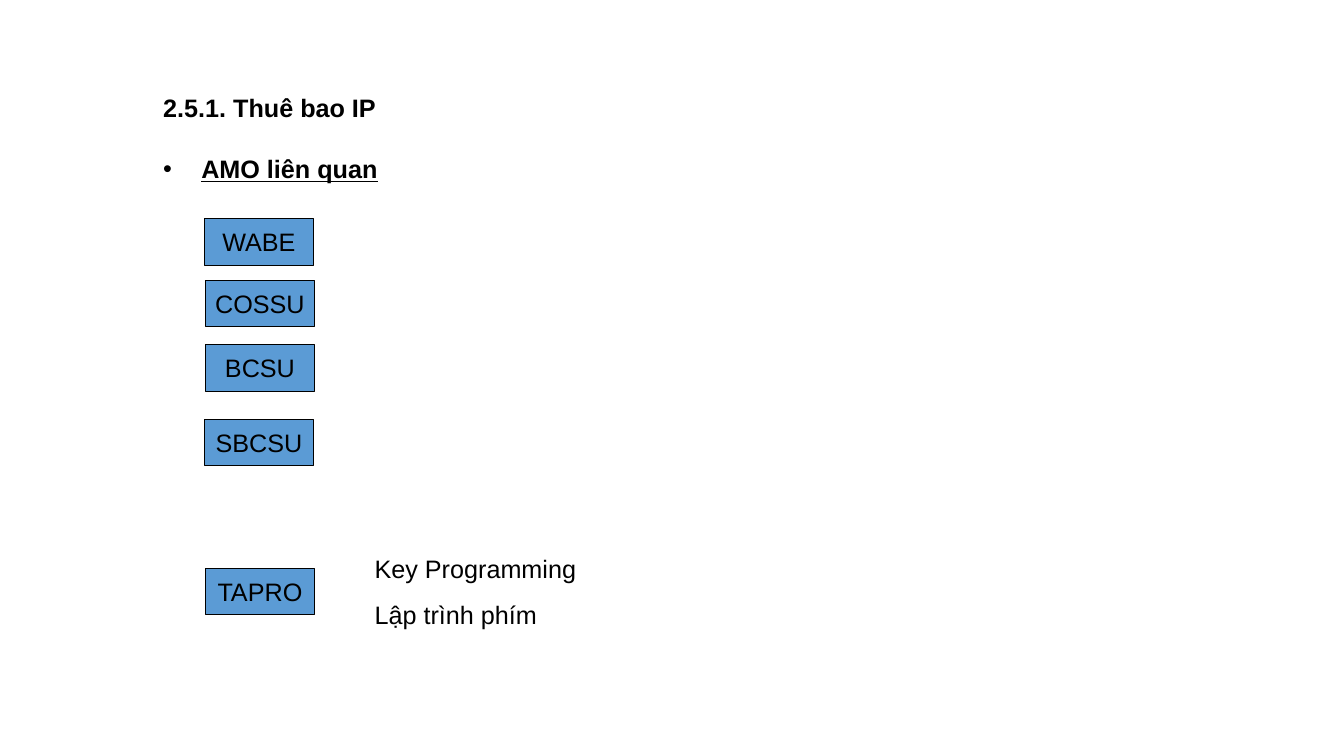
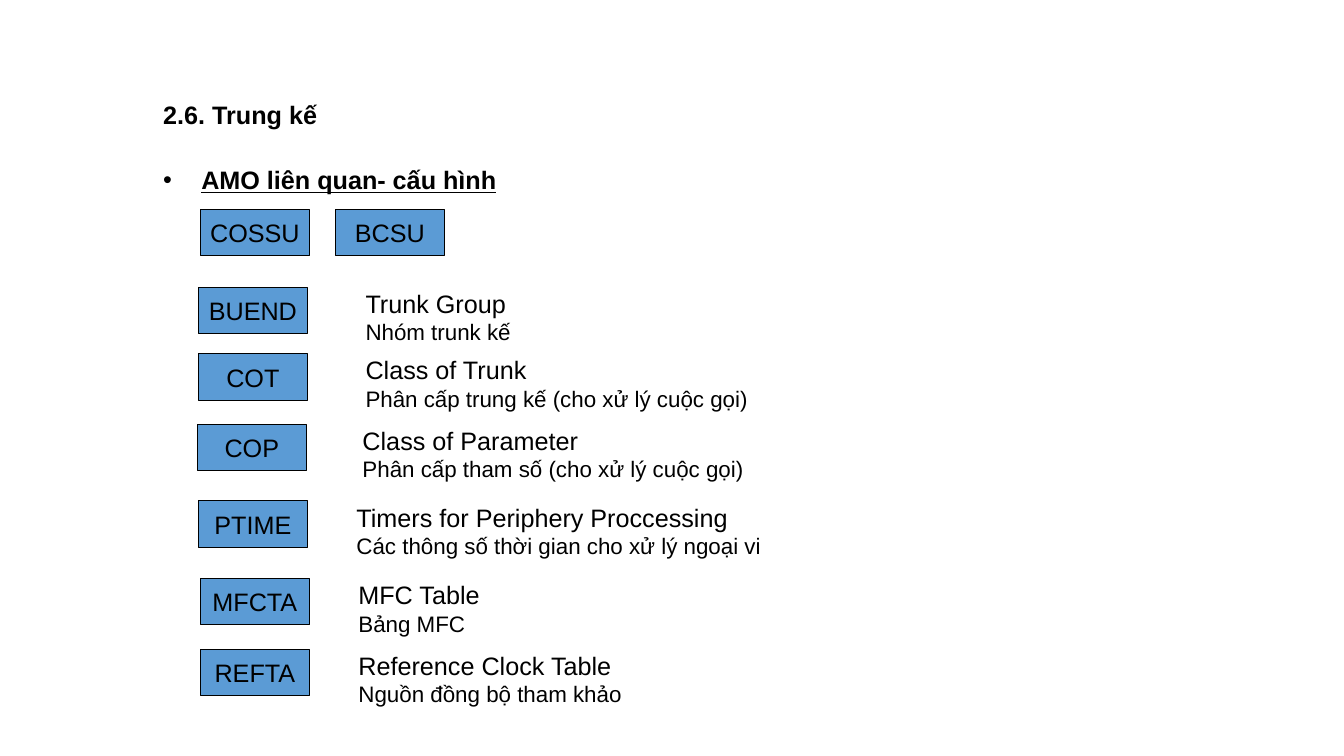
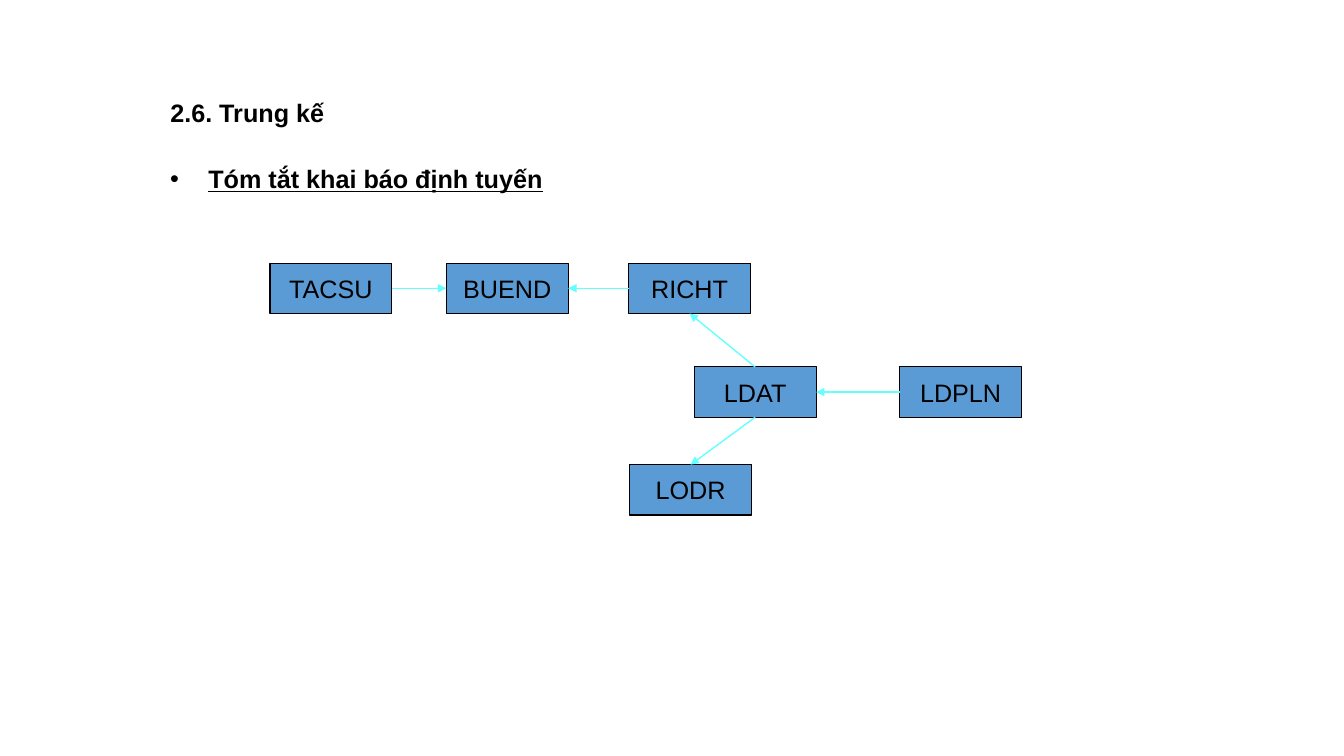
from dataclasses import dataclass

from lxml import etree
from pptx import Presentation
from pptx import util as u
from pptx.dml.color import RGBColor
from pptx.enum import shapes, text
from pptx.oxml import ns


@dataclass(frozen=True)
class Theme:
    font: str = "Arial"
    ink: RGBColor = RGBColor(0, 0, 0)
    fill: RGBColor = RGBColor(0x5B, 0x9B, 0xD5)
    arrow: RGBColor = RGBColor(0x66, 0xFF, 0xFF)
    size: int = 18
    small: int = 16
    border: float = 0.75
    stroke: float = 1


@dataclass(frozen=True)
class Head:
    title: str
    point: str
    left: float
    top: float
    width: float
    height: float
    depth: float


@dataclass(frozen=True)
class Box:
    name: str
    left: float
    top: float
    width: float = 1.08
    height: float = 0.46


@dataclass(frozen=True)
class Label:
    lines: tuple[str, str]
    left: float
    top: float
    height: float = 0.67
    second: int = 16
    gap: float = 0


@dataclass(frozen=True)
class Link:
    start: str
    start_side: int
    end: str
    end_side: int


THEME = Theme()
TOP, LEFT, BOTTOM, RIGHT = range(4)


def style(para, size: int = THEME.size, bold: bool = False, under: bool = False) -> None:
    for run in para.runs:
        font = run.font
        font.name, font.size = THEME.font, u.Pt(size)
        font.bold, font.underline = bold, under
        font.color.rgb = THEME.ink


def add_text(slide, left: float, top: float, width: float, height: float):
    area = slide.shapes.add_textbox(*map(u.Inches, (left, top, width, height)))
    area.text_frame.word_wrap = True
    return area.text_frame


def add_point(slide, head: Head) -> None:
    frame = add_text(slide, head.left, head.top + head.height, head.width, head.depth)
    frame.text = head.point
    para = frame.paragraphs[0]
    para.line_spacing, para.space_before = 1.15, u.Pt(4.5)
    style(para, bold=True, under=True)
    props = para._p.get_or_add_pPr()
    indent = u.Inches(0.38)
    props.set("marL", str(indent))
    props.set("indent", str(-indent))
    etree.SubElement(props, ns.qn("a:buFont")).set("typeface", THEME.font)
    etree.SubElement(props, ns.qn("a:buChar")).set("char", "•")


def add_slide(deck, head: Head):
    slide = deck.slides.add_slide(deck.slide_layouts[5])
    title = slide.shapes.title
    title.left, title.top = u.Inches(head.left), u.Inches(head.top)
    title.width, title.height = u.Inches(head.width), u.Inches(head.height)
    frame = title.text_frame
    frame.text = head.title
    frame.vertical_anchor = text.MSO_ANCHOR.MIDDLE
    para = frame.paragraphs[0]
    para.alignment, para.line_spacing = text.PP_ALIGN.LEFT, 0.9
    style(para, bold=True)
    add_point(slide, head)
    return slide


def add_box(slide, box: Box):
    shape = slide.shapes.add_shape(
        shapes.MSO_SHAPE.RECTANGLE,
        *map(u.Inches, (box.left, box.top, box.width, box.height)),
    )
    shape.shadow.inherit = False
    shape.fill.solid()
    shape.fill.fore_color.rgb = THEME.fill
    shape.line.color.rgb = THEME.ink
    shape.line.width = u.Pt(THEME.border)
    frame = shape.text_frame
    frame.text = box.name
    frame.word_wrap = False
    frame.vertical_anchor = text.MSO_ANCHOR.MIDDLE
    frame.paragraphs[0].alignment = text.PP_ALIGN.CENTER
    style(frame.paragraphs[0])
    return shape


def add_label(slide, label: Label) -> None:
    frame = add_text(slide, label.left, label.top, 6.36, label.height)
    frame.auto_size = text.MSO_AUTO_SIZE.SHAPE_TO_FIT_TEXT
    frame.text = "\n".join(label.lines)
    for para, size in zip(frame.paragraphs, (THEME.size, label.second)):
        para.space_before = u.Pt(label.gap)
        style(para, size)


def add_link(slide, nodes: dict, link: Link) -> None:
    line = slide.shapes.add_connector(shapes.MSO_CONNECTOR.STRAIGHT, 0, 0, 0, 0)
    line.begin_connect(nodes[link.start], link.start_side)
    line.end_connect(nodes[link.end], link.end_side)
    line.line.color.rgb = THEME.arrow
    line.line.width = u.Pt(THEME.stroke)
    stroke = line.line._get_or_add_ln()
    etree.SubElement(stroke, ns.qn("a:tailEnd")).set("type", "triangle")
    etree.SubElement(line._element.spPr, ns.qn("a:effectLst"))


def build_phones(deck) -> None:
    slide = add_slide(
        deck, Head("2.5.1. Thuê bao IP", "AMO liên quan", 1.52, 0.74, 10.56, 0.69, 4.96)
    )
    for box in (
        Box("WABE", 2.03, 2.17),
        Box("COSSU", 2.04, 2.78),
        Box("BCSU", 2.04, 3.42),
        Box("SBCSU", 2.03, 4.16),
        Box("TAPRO", 2.04, 5.64),
    ):
        add_box(slide, box)
    lines = ("Key Programming", "Lập trình phím")
    add_label(slide, Label(lines, 3.62, 5.44, 0.86, THEME.size, 11.2))


def build_trunks(deck) -> None:
    slide = add_slide(
        deck, Head("2.6. Trung kế", "AMO liên quan- cấu hình", 1.52, 0.77, 10.56, 0.77, 0.65)
    )
    for name, left in (("COSSU", 1.99), ("BCSU", 3.33)):
        add_box(slide, Box(name, left, 2.08))
    for name, left, top, indent, first, second in (
        ("BUEND", 1.97, 2.85, 3.53, "Trunk Group", "Nhóm trunk kế"),
        ("COT", 1.97, 3.51, 3.53, "Class of Trunk", "Phân cấp trung kế (cho xử lý cuộc gọi)"),
        ("COP", 1.96, 4.21, 3.5, "Class of Parameter", "Phân cấp tham số (cho xử lý cuộc gọi)"),
        ("PTIME", 1.97, 4.97, 3.44, "Timers for Periphery Proccessing",
         "Các thông số thời gian cho xử lý ngoại vi"),
        ("MFCTA", 1.99, 5.74, 3.46, "MFC Table", "Bảng MFC"),
        ("REFTA", 1.99, 6.44, 3.46, "Reference Clock Table", "Nguồn đồng bộ tham khảo"),
    ):
        add_box(slide, Box(name, left, top))
        add_label(slide, Label((first, second), indent, top - 0.04, second=THEME.small))


def build_routes(deck) -> None:
    slide = add_slide(
        deck, Head("2.6. Trung kế", "Tóm tắt khai báo định tuyến", 1.59, 0.73, 10.26, 0.8, 5.2)
    )
    nodes = {
        name: add_box(slide, Box(name, left, top, 1.21, 0.5))
        for name, left, top in (
            ("TACSU", 2.68, 2.61),
            ("BUEND", 4.43, 2.61),
            ("RICHT", 6.24, 2.61),
            ("LDAT", 6.89, 3.64),
            ("LDPLN", 8.93, 3.64),
            ("LODR", 6.25, 4.61),
        )
    }
    for link in (
        Link("TACSU", RIGHT, "BUEND", LEFT),
        Link("RICHT", LEFT, "BUEND", RIGHT),
        Link("LDAT", TOP, "RICHT", BOTTOM),
        Link("LDAT", BOTTOM, "LODR", TOP),
        Link("LDPLN", LEFT, "LDAT", RIGHT),
    ):
        add_link(slide, nodes, link)


def main() -> None:
    deck = Presentation()
    deck.slide_width, deck.slide_height = u.Inches(13.34), u.Inches(7.5)
    for build in (build_phones, build_trunks, build_routes):
        build(deck)
    deck.save("out.pptx")


if __name__ == "__main__":
    main()
